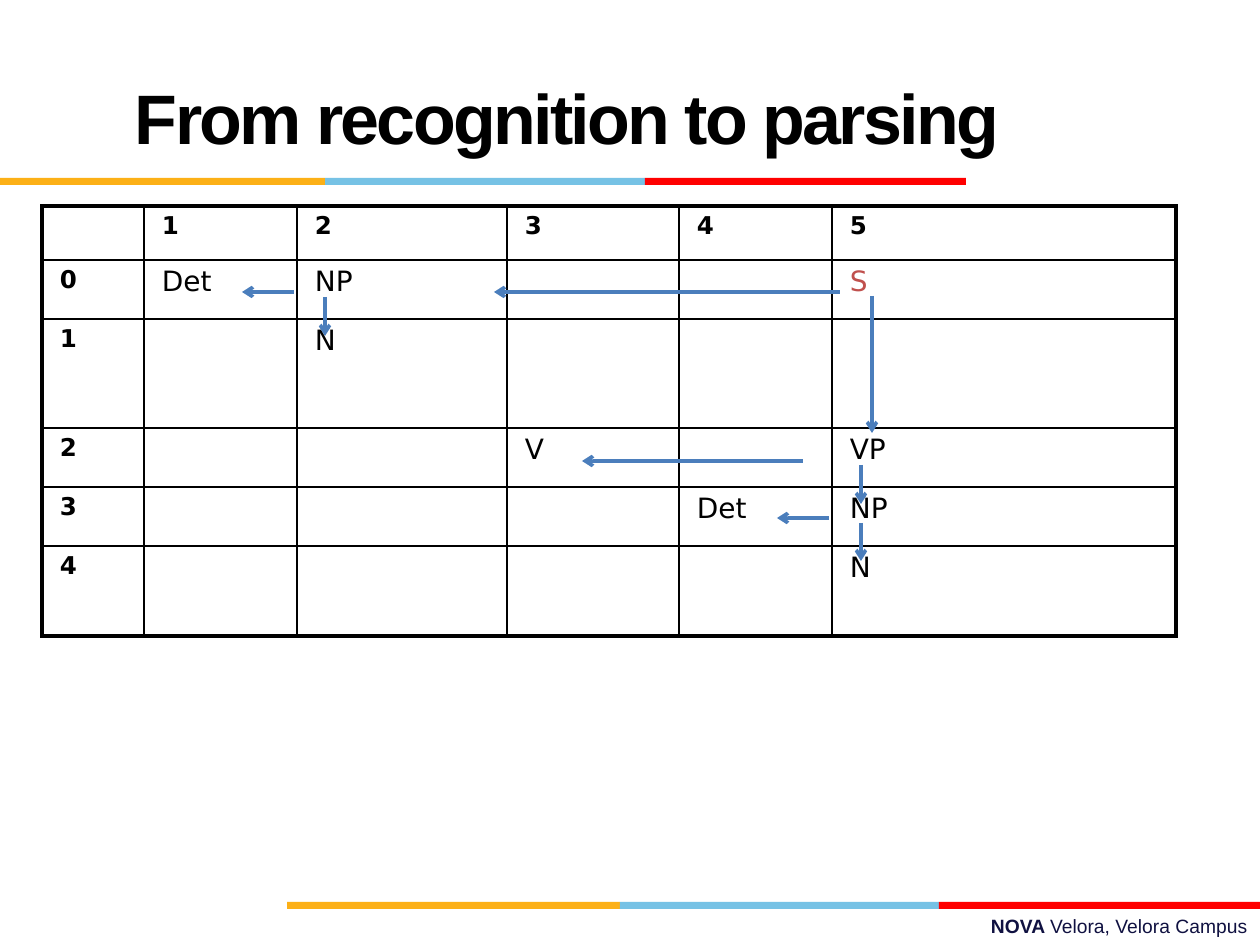
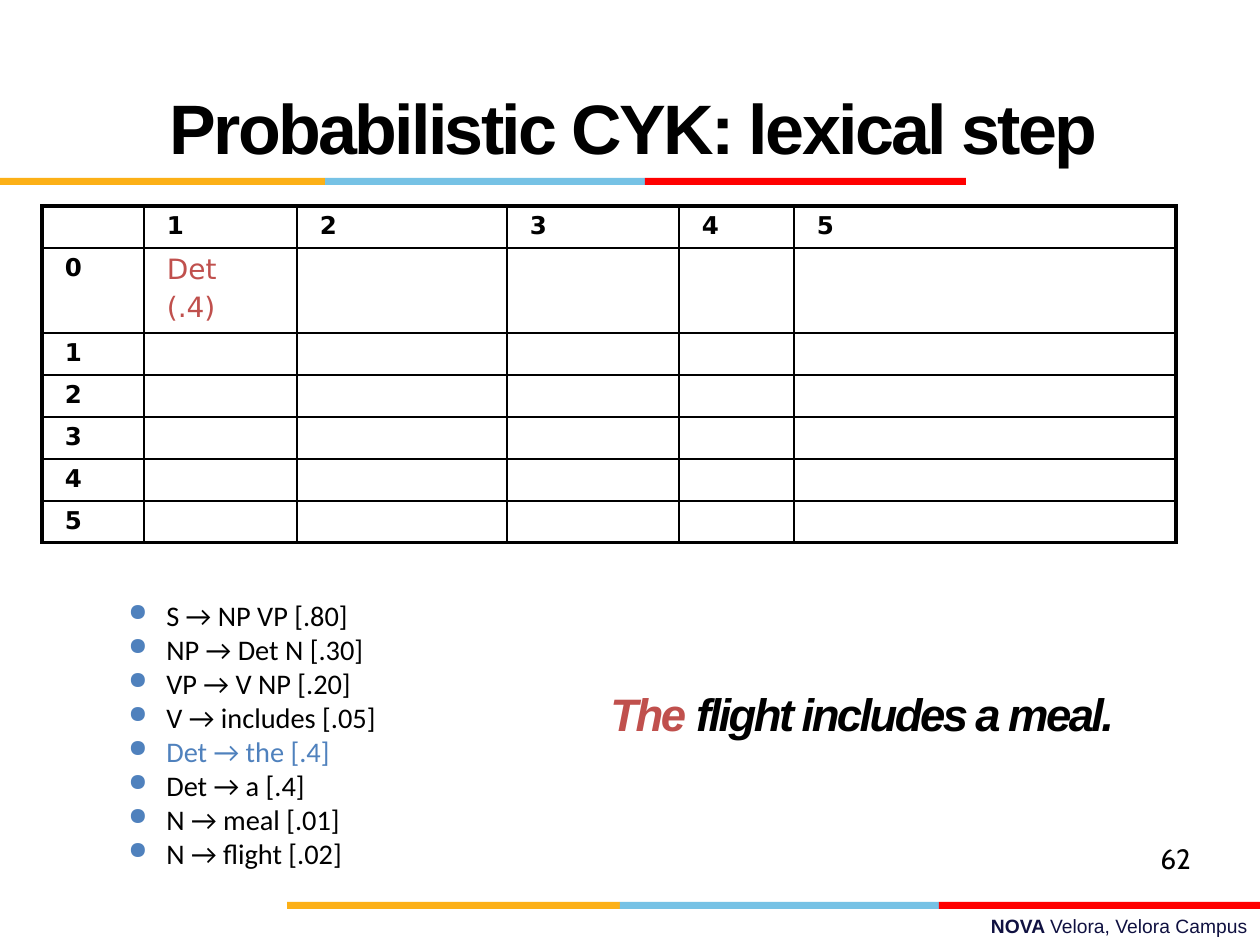
from dataclasses import dataclass, field
from itertools import pairwise
from typing import NamedTuple

from lxml.etree import SubElement
from pptx import Presentation
from pptx.dml.color import RGBColor as Rgb
from pptx.enum.shapes import MSO_CONNECTOR as Connector, MSO_SHAPE as Preset
from pptx.enum.text import MSO_ANCHOR as Anchor, PP_ALIGN as Align
from pptx.oxml import parse_xml
from pptx.oxml.ns import nsdecls, qn
from pptx.slide import Slide
from pptx.util import Emu, Pt

PX_PER_INCH = 126


def px(length: int) -> Emu:
    return Emu(round(length * 914400 / PX_PER_INCH))


@dataclass(frozen=True)
class Theme:
    orange: str = "FCB017"
    sky: str = "76C2E5"
    red: str = "FF0000"
    navy: str = "101141"
    ink: str = "000000"
    accent: str = "C0504D"
    blue: str = "4F81BD"
    arrow: str = "4B7EBC"
    heading_font: str = "Arial"
    chart_font: str = "DejaVu Sans"
    rule_font: str = "Calibri"
    number_font: str = "Cabin"
    title_size: float = 40
    sentence_size: float = 26
    rule_size: float = 16.2
    entry_size: float = 16
    label_size: float = 14
    footer_size: float = 11
    tight: float = -1.5
    frame_line: float = 2.25
    grid_line: float = 1
    arrow_line: float = 2


THEME = Theme()


class Box(NamedTuple):
    left: int
    top: int
    width: int
    height: int


class Span(NamedTuple):
    text: str
    size: float
    font: str
    color: str = THEME.ink
    bold: bool = False
    italic: bool = False
    spacing: float = 0


class Arrow(NamedTuple):
    x1: int
    y1: int
    x2: int
    y2: int


class Band(NamedTuple):
    top: int
    edges: tuple[int, ...]


class Entry(NamedTuple):
    text: str
    color: str = THEME.ink


@dataclass(frozen=True)
class ParseChart:
    columns: list[int]
    rows: list[int]
    inset: int
    entries: dict[tuple[int, int], Entry] = field(default_factory=dict)


CHART_LEFT, CHART_TOP = 42, 206
BAND_HEIGHT = 7
BANDS = [Band(178, (0, 325, 645, 966)), Band(902, (287, 620, 939, 1260))]

RECOGNITION = ParseChart(
    columns=[102, 153, 210, 172, 153, 344],
    rows=[54, 59, 109, 59, 59, 90],
    inset=18,
    entries={
        (0, 1): Entry("Det"),
        (0, 2): Entry("NP"),
        (0, 5): Entry("S", THEME.accent),
        (1, 2): Entry("N"),
        (2, 3): Entry("V"),
        (2, 5): Entry("VP"),
        (3, 4): Entry("Det"),
        (3, 5): Entry("NP"),
        (4, 5): Entry("N"),
    },
)
BACKPOINTERS = [
    Arrow(840, 292, 494, 292),
    Arrow(872, 296, 872, 433),
    Arrow(861, 523, 861, 561),
    Arrow(803, 461, 582, 461),
    Arrow(829, 518, 777, 518),
    Arrow(861, 465, 861, 504),
    Arrow(294, 292, 242, 292),
    Arrow(325, 297, 325, 336),
]
LEXICAL = ParseChart(
    columns=[102, 153, 210, 172, 115, 382],
    rows=[42, 85, 42, 42, 42, 42, 42],
    inset=23,
    entries={(0, 1): Entry("Det\n(.4)", THEME.accent)},
)
GRAMMAR = [
    "S → NP VP [.80]",
    "NP → Det N [.30]",
    "VP → V NP [.20]",
    "V → includes [.05]",
    "Det → the [.4]",
    "Det → a [.4]",
    "N → meal [.01]",
    "N → flight [.02]",
]
APPLIED_RULE = "Det → the [.4]"


def style_run(run, span: Span) -> None:
    run.font.size = Pt(span.size)
    run.font.name = span.font
    run.font.bold = span.bold
    run.font.italic = span.italic
    run.font.color.rgb = Rgb.from_string(span.color)
    if span.spacing:
        run._r.get_or_add_rPr().set("spc", str(round(span.spacing * 100)))


def fill_paragraph(paragraph, spans: list[Span]) -> None:
    for span in spans:
        run = paragraph.add_run()
        run.text = span.text
        style_run(run, span)


def add_text(slide: Slide, box: Box, lines: list[list[Span]], align: Align = Align.LEFT,
             anchor: Anchor = Anchor.TOP, wrap: bool = True):
    frame = slide.shapes.add_textbox(*map(px, box)).text_frame
    frame.word_wrap = wrap
    frame.vertical_anchor = anchor
    for index, spans in enumerate(lines):
        paragraph = frame.add_paragraph() if index else frame.paragraphs[0]
        paragraph.alignment = align
        fill_paragraph(paragraph, spans)
    return frame


def add_band(slide: Slide, band: Band) -> None:
    for (left, right), color in zip(pairwise(band.edges), (THEME.orange, THEME.sky, THEME.red)):
        stripe = slide.shapes.add_shape(
            Preset.RECTANGLE, *map(px, Box(left, band.top, right - left, BAND_HEIGHT)))
        stripe.shadow.inherit = False
        stripe.fill.solid()
        stripe.fill.fore_color.rgb = Rgb.from_string(color)
        stripe.line.fill.background()


def add_title(slide: Slide, text: str, box: Box, align: Align) -> None:
    title = Span(text, THEME.title_size, THEME.heading_font, bold=True, spacing=THEME.tight)
    add_text(slide, box, [[title]], align, Anchor.MIDDLE)


def start_slide(deck) -> Slide:
    slide = deck.slides.add_slide(deck.slide_layouts[6])
    campus = [
        Span("NOVA ", THEME.footer_size, THEME.heading_font, THEME.navy, bold=True),
        Span("Velora, Velora Campus", THEME.footer_size, THEME.heading_font, THEME.navy),
    ]
    add_text(slide, Box(451, 908, 809, 37), [campus], Align.RIGHT)
    for band in BANDS:
        add_band(slide, band)
    return slide


def set_borders(cell, widths: dict[str, float]) -> None:
    properties = cell._tc.get_or_add_tcPr()
    for index, (side, width) in enumerate(widths.items()):
        properties.insert(index, parse_xml(
            f'<a:ln{side} {nsdecls("a")} w="{Pt(width)}"><a:solidFill>'
            f'<a:srgbClr val="{THEME.ink}"/></a:solidFill></a:ln{side}>'))


def fill_cell(cell, entry: Entry, is_label: bool, inset: int) -> None:
    cell.margin_left = cell.margin_right = px(inset)
    cell.margin_top = cell.margin_bottom = px(6)
    cell.fill.background()
    cell.text_frame.text = entry.text
    size = THEME.label_size if is_label else THEME.entry_size
    for index, paragraph in enumerate(cell.text_frame.paragraphs):
        if index:
            paragraph.space_before = Pt(size * 0.2)
        for run in paragraph.runs:
            style_run(run, Span(run.text, size, THEME.chart_font, entry.color, is_label))
        if not paragraph.runs:
            SubElement(paragraph._p, qn("a:endParaRPr"), sz=str(round(THEME.label_size * 100)))


def add_parse_chart(slide: Slide, chart: ParseChart) -> None:
    last_row, last_column = len(chart.rows) - 1, len(chart.columns) - 1
    box = Box(CHART_LEFT, CHART_TOP, sum(chart.columns), sum(chart.rows))
    grid = slide.shapes.add_table(last_row + 1, last_column + 1, *map(px, box)).table
    grid.first_row = grid.horz_banding = False
    for column, width in zip(grid.columns, chart.columns):
        column.width = px(width)
    for r, height in enumerate(chart.rows):
        grid.rows[r].height = px(height)
        for c in range(last_column + 1):
            is_label = r == 0 or c == 0
            if is_label:
                entry = Entry(str(c) if r == 0 and c else str(r - 1) if r else "")
            else:
                entry = chart.entries.get((r - 1, c), Entry(""))
            fill_cell(grid.cell(r, c), entry, is_label, chart.inset)
            on_frame = {"L": c == 0, "R": c == last_column, "T": r == 0, "B": r == last_row}
            set_borders(grid.cell(r, c), {
                side: THEME.frame_line if outer else THEME.grid_line
                for side, outer in on_frame.items()})


def add_arrow(slide: Slide, arrow: Arrow) -> None:
    pointer = slide.shapes.add_connector(Connector.STRAIGHT, *map(px, arrow))
    pointer.line.width = Pt(THEME.arrow_line)
    pointer.line.color.rgb = Rgb.from_string(THEME.arrow)
    SubElement(pointer.line._get_or_add_ln(), qn("a:tailEnd"), type="arrow")
    SubElement(pointer._element.spPr, qn("a:effectLst"))


def add_grammar(slide: Slide) -> None:
    lines = [[Span(rule, THEME.rule_size, THEME.rule_font,
                   THEME.blue if rule == APPLIED_RULE else THEME.ink)] for rule in GRAMMAR]
    frame = add_text(slide, Box(116, 601, 378, 281), lines)
    for paragraph in frame.paragraphs:
        paragraph.line_spacing = 0.7
        paragraph.space_before = Pt(5.8)
        properties = paragraph._p.get_or_add_pPr()
        properties.set("marL", str(px(38)))
        properties.set("indent", str(-px(38)))
        color = SubElement(properties, qn("a:buClr"))
        SubElement(color, qn("a:srgbClr"), val=THEME.blue)
        SubElement(properties, qn("a:buSzPct"), val="85000")
        SubElement(properties, qn("a:buChar"), char="●")


def build_recognition(deck) -> None:
    slide = start_slide(deck)
    add_parse_chart(slide, RECOGNITION)
    add_title(slide, "From recognition to parsing", Box(0, 38, 1134, 157), Align.CENTER)
    for arrow in BACKPOINTERS:
        add_arrow(slide, arrow)


def build_lexical_step(deck) -> None:
    slide = start_slide(deck)
    add_parse_chart(slide, LEXICAL)
    sentence = [
        Span(text, THEME.sentence_size, THEME.heading_font, color, True, True, THEME.tight)
        for text, color in (("The", THEME.accent), (" flight includes a meal.", THEME.ink))
    ]
    add_text(slide, Box(598, 635, 662, 157), [sentence], anchor=Anchor.MIDDLE)
    add_title(slide, "Probabilistic CYK: lexical step", Box(157, 42, 1103, 168), Align.LEFT)
    add_grammar(slide)
    page_number = Span("62", THEME.entry_size, THEME.number_font)
    add_text(slide, Box(1148, 835, 57, 46), [[page_number]], wrap=False)


def main() -> None:
    deck = Presentation()
    deck.slide_width, deck.slide_height = px(1260), px(945)
    build_recognition(deck)
    build_lexical_step(deck)
    deck.save("out.pptx")


if __name__ == "__main__":
    main()
